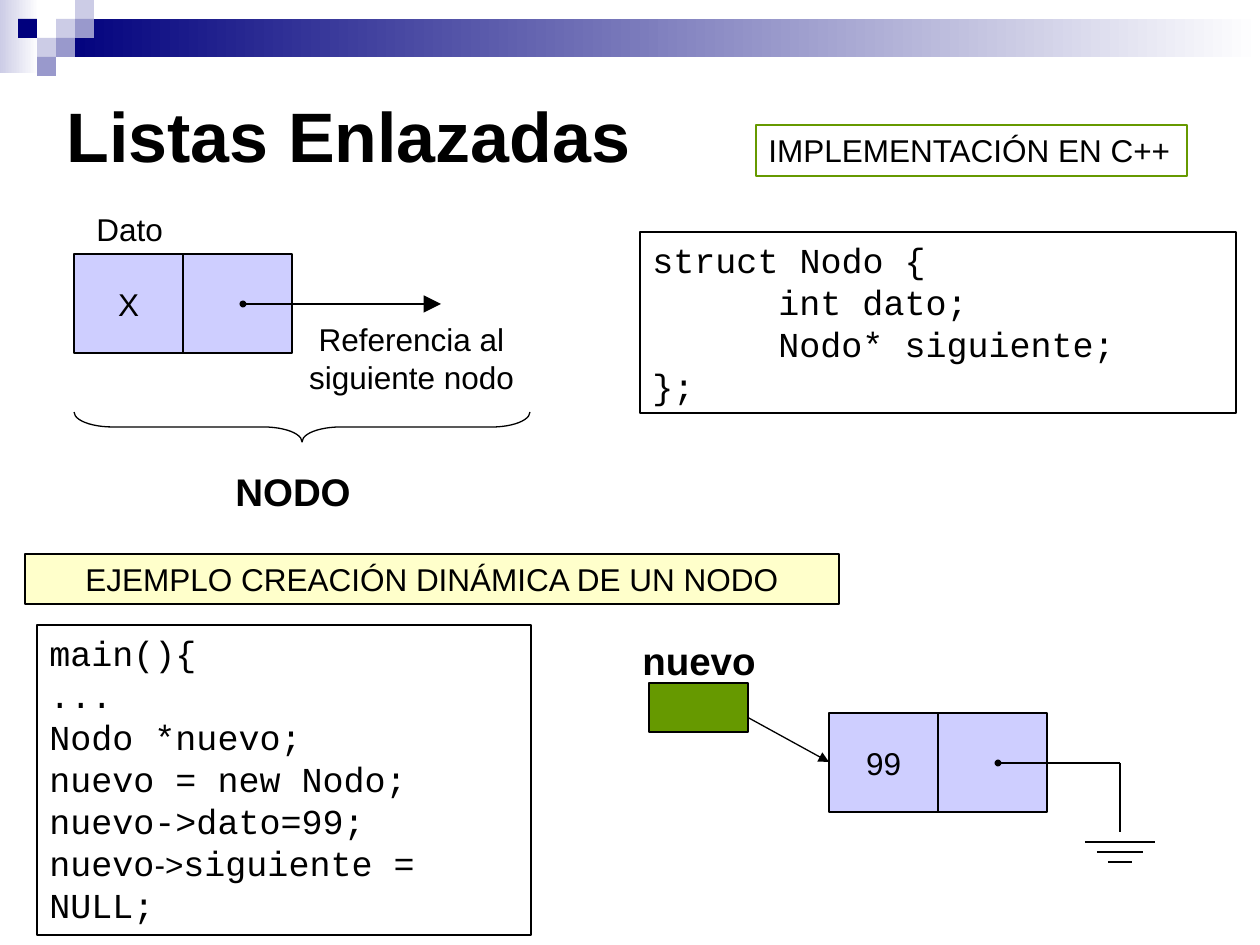
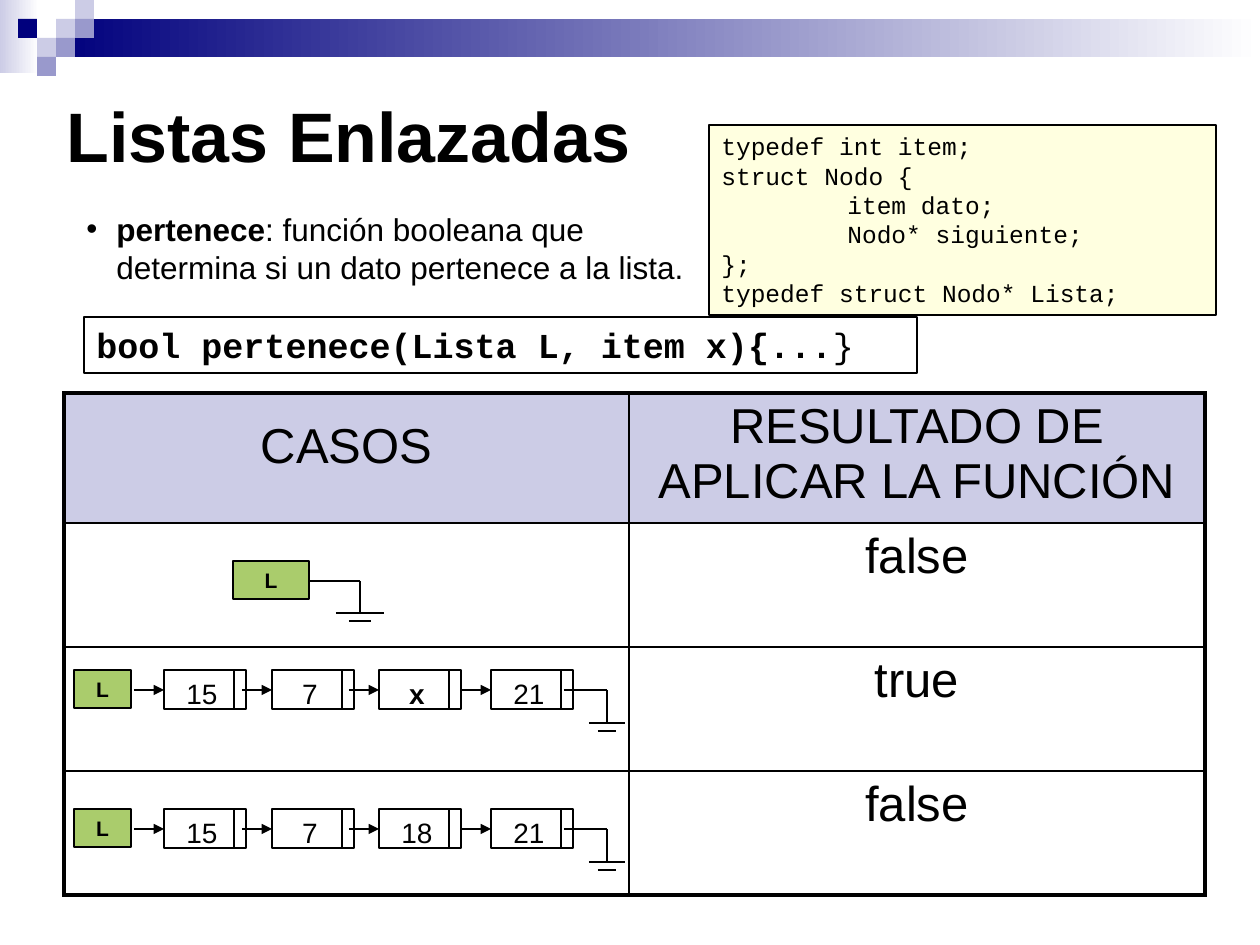
from lxml import etree
from pptx import Presentation
from pptx.dml.color import RGBColor
from pptx.enum.shapes import MSO_CONNECTOR, MSO_SHAPE
from pptx.enum.text import MSO_ANCHOR, MSO_AUTO_SIZE, PP_ALIGN
from pptx.oxml.ns import qn
from pptx.util import Pt

RECTANGLE, BRACE = MSO_SHAPE.RECTANGLE, MSO_SHAPE.RIGHT_BRACE
STRAIGHT = MSO_CONNECTOR.STRAIGHT
LEFT, CENTER = PP_ALIGN.LEFT, PP_ALIGN.CENTER
TOP, MIDDLE = MSO_ANCHOR.TOP, MSO_ANCHOR.MIDDLE
NO_AUTOSIZE = MSO_AUTO_SIZE.NONE
TITLE_ONLY = 5

PX = 914400 / 126
SLIDE_SIZE = (1260, 945)
SANS, MONO = "Arial", "Courier New"
COLORS = {
    "black": "000000", "white": "FFFFFF", "navy": "00007D",
    "lilac": "CCCCE6", "violet": "9999CC", "node": "9999FF",
    "green": "669900", "light green": "AACC6C", "yellow": "FFFF99",
}

TITLE = "Listas Enlazadas"
TITLE_BOX = (54, 86, 1134, 110)
GRADIENT_BANDS = [((0, 0, 39, 73), "lilac"), ((57, 19, 1203, 38), "navy")]
MOSAIC_TILE = 19
MOSAIC = [  # column, row, colour
    (3, 1, "lilac"), (4, 0, "lilac"), (4, 1, "violet"), (2, 2, "lilac"),
    (1, 1, "navy"), (3, 2, "violet"), (2, 3, "violet"),
]

STRUCT_CODE = ["struct Nodo {", "\tint dato;", "\tNodo* siguiente;", "};"]
MAIN_CODE = [
    "main(){", "...", "Nodo *nuevo;", "nuevo = new Nodo;", "nuevo->dato=99;",
    [("nuevo", {}), ("->", {"size": 18, "font": SANS}), ("siguiente = NULL;", {})],
]
TYPE_CODE = ["typedef int item;", "struct Nodo {", "\titem dato;",
             "\tNodo* siguiente;", "};", "typedef struct Nodo* Lista;"]
DEFINITION = [[
    ("pertenece", {"bold": True}),
    (": función booleana que determina si un dato pertenece a la lista.", {}),
]]
SIGNATURE = [[("bool pertenece(Lista L, item x){...", {"bold": True}), ("}", {})]]

CASES_HEADER = ("CASOS", "RESULTADO DE APLICAR LA FUNCIÓN")
RESULTS = ("false", "true", "false")
TABLE_ORIGIN = (64, 393)
COLUMN_WIDTHS = (565, 576)
ROW_HEIGHTS = (130, 124, 124, 124)
LIST_CASES = [(670, ("15", "7", "x", "21")), (809, ("15", "7", "18", "21"))]
NODE_LEFTS = (164, 272, 379, 491)


def emu(pixels):
    return round(pixels * PX)


def rgb(name):
    return RGBColor.from_string(COLORS[name])


def write(frame, paragraphs, size=18, bold=False, font=SANS, align=LEFT):
    """Fill a text frame; a paragraph is a string or a list of (text, overrides)."""
    for index, content in enumerate(paragraphs):
        paragraph = frame.paragraphs[0] if index == 0 else frame.add_paragraph()
        paragraph.alignment = align
        runs = [(content, {})] if isinstance(content, str) else content
        if runs[0][0].startswith("\t"):
            tabs = etree.SubElement(paragraph._p.get_or_add_pPr(), qn("a:tabLst"))
            etree.SubElement(tabs, qn("a:tab"), pos=str(emu(126)), algn="l")
        for text, overrides in runs:
            run = paragraph.add_run()
            run.text = text
            run.font.size = Pt(overrides.get("size", size))
            run.font.bold = overrides.get("bold", bold)
            run.font.name = overrides.get("font", font)
            run.font.color.rgb = rgb("black")


def prepare_frame(frame, anchor=TOP, wrap=True):
    frame.auto_size = NO_AUTOSIZE
    frame.word_wrap = wrap
    frame.vertical_anchor = anchor


def add_box(slide, box, paragraphs=(), fill=None, opacity=None, line="black",
            width=0.75, anchor=TOP, wrap=True, kind=RECTANGLE, **style):
    shape = slide.shapes.add_shape(kind, *map(emu, box))
    shape.shadow.inherit = False
    if fill:
        shape.fill.solid()
        shape.fill.fore_color.rgb = rgb(fill)
        if opacity:
            color = shape._element.spPr.find(".//" + qn("a:srgbClr"))
            etree.SubElement(color, qn("a:alpha"), val=str(opacity * 1000))
    else:
        shape.fill.background()
    if line:
        shape.line.color.rgb = rgb(line)
        shape.line.width = Pt(width)
    else:
        shape.line.fill.background()
    prepare_frame(shape.text_frame, anchor, wrap)
    write(shape.text_frame, paragraphs, **style)
    return shape


def add_label(slide, box, paragraphs, **style):
    frame = slide.shapes.add_textbox(*map(emu, box)).text_frame
    prepare_frame(frame)
    write(frame, paragraphs, **style)
    return frame


def add_line(slide, start, end, width=0.75, dot=False, arrow=None):
    """Draw a line, with a dot at its start or an arrowhead of a given size at its end."""
    connector = slide.shapes.add_connector(STRAIGHT, *map(emu, start + end))
    connector.line.color.rgb = rgb("black")
    connector.line.width = Pt(width)
    properties = connector._element.spPr
    outline = properties.find(qn("a:ln"))
    if dot:
        etree.SubElement(outline, qn("a:headEnd"), type="oval", w="sm", len="sm")
    if arrow:
        etree.SubElement(outline, qn("a:tailEnd"), type="triangle", w=arrow, len=arrow)
    etree.SubElement(properties, qn("a:effectLst"))


def add_ground(slide, start, corner_x, drop, half_widths, bar_gap, first_bar, **wire):
    """Draw a wire that turns down to the bars of the null symbol."""
    start_x, y = start
    add_line(slide, start, (corner_x, y), **wire)
    add_line(slide, (corner_x, y), (corner_x, y + drop))
    for index, half in enumerate(half_widths):
        bar_y = y + first_bar + index * bar_gap
        add_line(slide, (corner_x - half, bar_y), (corner_x + half, bar_y))


def add_large_node(slide, left, top, value):
    """Draw a two-field node and return the start of its pointer."""
    width, height = 218, 99
    middle = left + width // 2
    shape = add_box(slide, (left, top, width, height), [value], fill="node",
                    opacity=48, width=1, anchor=MIDDLE, align=CENTER)
    shape.text_frame.margin_left = 0
    shape.text_frame.margin_right = emu(width / 2)
    add_line(slide, (middle, top), (middle, top + height), width=1)
    return left + 169, top + 50


def add_slide(presentation):
    slide = presentation.slides.add_slide(presentation.slide_layouts[TITLE_ONLY])
    for box, color in GRADIENT_BANDS:
        shape = add_box(slide, box, fill=color, line=None)
        shape.fill.gradient()
        shape.fill.gradient_angle = 0
        for stop, name in zip(shape.fill.gradient_stops, (color, "white")):
            stop.color.rgb = rgb(name)
    tile = MOSAIC_TILE
    for column, row, color in MOSAIC:
        add_box(slide, (column * tile - 1, row * tile, tile, tile), fill=color, line=None)
    title = slide.shapes.title
    title.left, title.top, title.width, title.height = map(emu, TITLE_BOX)
    prepare_frame(title.text_frame)
    write(title.text_frame, [TITLE], size=40, bold=True)
    return slide


def build_node_slide(presentation):
    slide = add_slide(presentation)
    add_box(slide, (640, 232, 596, 181), STRUCT_CODE, size=20, font=MONO)
    add_box(slide, (756, 125, 431, 51), ["IMPLEMENTACIÓN EN C++"], line="green", wrap=False)

    pointer_x, pointer_y = add_large_node(slide, 74, 254, "X")
    add_line(slide, (pointer_x, pointer_y), (441, pointer_y), width=1, dot=True, arrow="lg")
    add_label(slide, (84, 204, 100, 50), ["Dato"])
    add_label(slide, (263, 314, 297, 88), ["Referencia al siguiente nodo"], align=CENTER)
    add_label(slide, (223, 462, 169, 59), ["NODO"], size=22, bold=True)
    brace = add_box(slide, (287, 199, 30, 456), kind=BRACE)
    brace.rotation = 90
    brace.adjustments[0] = 1.28

    add_box(slide, (37, 625, 494, 310), MAIN_CODE, size=20, font=MONO)
    add_box(slide, (25, 554, 814, 50), ["EJEMPLO CREACIÓN DINÁMICA DE UN NODO"],
            fill="yellow", opacity=50, anchor=MIDDLE, wrap=False, align=CENTER)

    add_label(slide, (630, 631, 169, 59), ["nuevo"], size=22, bold=True)
    pointer = add_large_node(slide, 829, 713, "99")
    add_ground(slide, pointer, 1120, drop=69, half_widths=(35, 23, 12),
               bar_gap=10, first_bar=79, width=1, dot=True)
    add_line(slide, (747, 717), (829, 762), arrow="med")
    add_box(slide, (649, 683, 99, 49), fill="green")


def set_borders(cell, widths):
    """Set the left, right, top and bottom borders, in points."""
    properties = cell._tc.get_or_add_tcPr()
    for index, (side, width) in enumerate(zip("LRTB", widths)):
        border = etree.Element(qn("a:ln" + side), w=str(Pt(width)))
        fill = etree.SubElement(border, qn("a:solidFill"))
        etree.SubElement(fill, qn("a:srgbClr"), val=COLORS["black"])
        properties.insert(index, border)


def add_cases_table(slide):
    rows = [CASES_HEADER] + [("", result) for result in RESULTS]
    size = (sum(COLUMN_WIDTHS), sum(ROW_HEIGHTS))
    table = slide.shapes.add_table(
        len(rows), len(COLUMN_WIDTHS), *map(emu, TABLE_ORIGIN + size)).table
    table.first_row = table.horz_banding = False
    for column, width in zip(table.columns, COLUMN_WIDTHS):
        column.width = emu(width)
    last_row, last_column = len(rows) - 1, len(COLUMN_WIDTHS) - 1
    for row_index, row in enumerate(rows):
        table.rows[row_index].height = emu(ROW_HEIGHTS[row_index])
        for column_index, text in enumerate(row):
            cell = table.cell(row_index, column_index)
            if row_index == 0:
                cell.fill.solid()
                cell.fill.fore_color.rgb = rgb("lilac")
            else:
                cell.fill.background()
            outer = (column_index == 0, column_index == last_column,
                     row_index == 0, row_index == last_row)
            set_borders(cell, [2.25 if edge else 1 for edge in outer])
            if text:
                write(cell.text_frame, [text], size=28, align=CENTER)
    table.cell(0, 0).margin_top = emu(26)


def add_list_head(slide, box):
    add_box(slide, box, ["L"], fill="light green", size=12, bold=True, align=CENTER)


def add_linked_list(slide, top, values):
    wire_y = top + 20
    add_list_head(slide, (74, top, 57, 38))
    for left, value in zip(NODE_LEFTS, values):
        add_box(slide, (left, top, 76, 39), [value], fill="white", size=16,
                bold=value == "x", align=CENTER)
        add_box(slide, (left + 70, top, 12, 39), fill="white")
        add_line(slide, (left - 30, wire_y), (left, wire_y), arrow="med")
    add_ground(slide, (564, wire_y), 607, drop=32, half_widths=(18, 9),
               bar_gap=8, first_bar=33)


def build_cases_slide(presentation):
    slide = add_slide(presentation)
    frame = add_label(slide, (74, 204, 625, 88), [])
    properties = frame.paragraphs[0]._p.get_or_add_pPr()
    properties.set("marL", str(emu(30)))
    properties.set("indent", str(-emu(30)))
    etree.SubElement(properties, qn("a:buFont"), typeface=SANS)
    etree.SubElement(properties, qn("a:buChar"), char="•")
    write(frame, DEFINITION)
    add_box(slide, (709, 125, 507, 190), TYPE_CODE, fill="yellow", opacity=30,
            size=14, font=MONO)
    add_cases_table(slide)
    add_ground(slide, (302, 581), 360, drop=31, half_widths=(24, 11),
               bar_gap=8, first_bar=32)
    add_list_head(slide, (233, 561, 76, 38))
    add_box(slide, (84, 317, 833, 56), SIGNATURE, size=20, font=MONO)
    for top, values in LIST_CASES:
        add_linked_list(slide, top, values)


def main():
    presentation = Presentation()
    presentation.slide_width, presentation.slide_height = map(emu, SLIDE_SIZE)
    build_node_slide(presentation)
    build_cases_slide(presentation)
    presentation.save("out.pptx")


if __name__ == "__main__":
    main()
